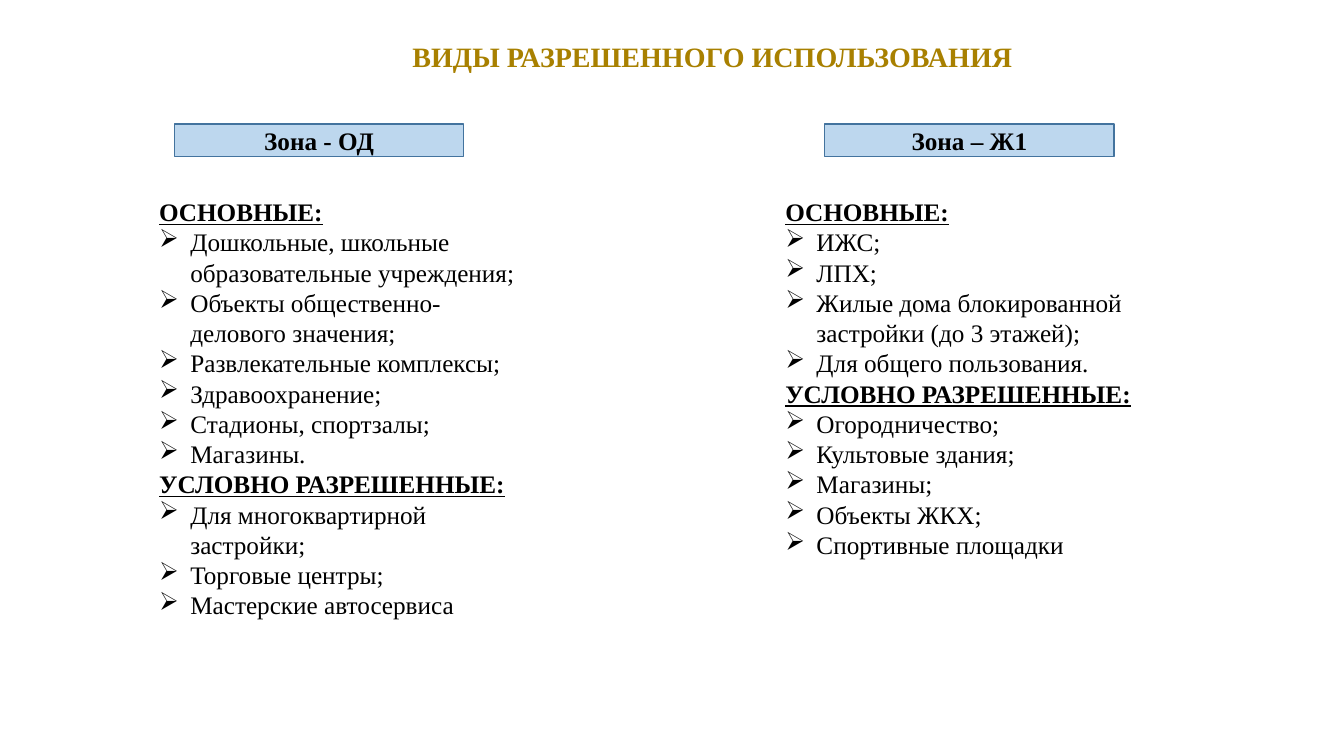
from lxml import etree
from pptx import Presentation
from pptx.dml.color import RGBColor as RGB
from pptx.enum.shapes import MSO_SHAPE as SHAPE
from pptx.enum.text import MSO_ANCHOR as ANCHOR, MSO_AUTO_SIZE as AUTO, PP_ALIGN as ALIGN
from pptx.oxml.ns import qn
from pptx.util import Inches, Pt

INK = {"title": "A88000", "text": "000000", "fill": "BDD7EE", "line": "43739E"}
MAIN = "ОСНОВНЫЕ:"
EXTRA = "УСЛОВНО РАЗРЕШЕННЫЕ:"
ZONES = [
    ("Зона - ОД", 1.73, 1.48, 4.34, [
        (MAIN, ["Дошкольные, школьные образовательные учреждения;",
                "Объекты общественно-делового значения;",
                "Развлекательные комплексы;", "Здравоохранение;",
                "Стадионы, спортзалы;", "Магазины."]),
        (EXTRA, ["Для многоквартирной застройки;", "Торговые центры;",
                 "Мастерские автосервиса"]),
    ]),
    ("Зона – Ж1", 8.18, 7.69, 4.04, [
        (MAIN, ["ИЖС;", "ЛПХ;", "Жилые дома блокированной застройки (до 3 этажей);",
                "Для общего пользования."]),
        (EXTRA, ["Огородничество;", "Культовые здания;", "Магазины;",
                 "Объекты ЖКХ;", "Спортивные площадки"]),
    ]),
]


def style(para, size, ink, bold):
    for run in para.runs:
        font = run.font
        font.name = "Times New Roman"
        font.size = Pt(size)
        font.bold = bold
        font.underline = False
        font.color.rgb = RGB.from_string(INK[ink])


def bullet(para):
    props = para._p.get_or_add_pPr()
    props.set("marL", str(Inches(0.31)))
    props.set("indent", str(-Inches(0.31)))
    etree.SubElement(props, qn("a:buChar")).set("char", "➢")


deck = Presentation()
deck.slide_width = Inches(13.33)
deck.slide_height = Inches(7.5)
slide = deck.slides.add_slide(deck.slide_layouts[5])

title = slide.shapes.title
title.left, title.top = Inches(1.27), Inches(0.34)
title.width, title.height = Inches(11.59), Inches(0.44)
frame = title.text_frame
frame.text = "ВИДЫ РАЗРЕШЕННОГО ИСПОЛЬЗОВАНИЯ"
frame.auto_size = AUTO.NONE
frame.vertical_anchor = ANCHOR.TOP
frame.paragraphs[0].alignment = ALIGN.CENTER
style(frame.paragraphs[0], 20, "title", True)

for name, left, edge, height, groups in ZONES:
    head = slide.shapes.add_shape(
        SHAPE.RECTANGLE, Inches(left), Inches(1.23), Inches(2.87), Inches(0.32))
    head.shadow.inherit = False
    head.fill.solid()
    head.fill.fore_color.rgb = RGB.from_string(INK["fill"])
    head.line.color.rgb = RGB.from_string(INK["line"])
    head.line.width = Pt(1)
    frame = head.text_frame
    frame.text = name
    frame.vertical_anchor = ANCHOR.MIDDLE
    frame.paragraphs[0].alignment = ALIGN.CENTER
    style(frame.paragraphs[0], 18, "text", True)

    box = slide.shapes.add_textbox(
        Inches(edge), Inches(1.9), Inches(3.84), Inches(height))
    frame = box.text_frame
    frame.word_wrap = True
    frame.auto_size = AUTO.SHAPE_TO_FIT_TEXT
    rows = [(text, text == label) for label, items in groups
            for text in [label, *items]]
    frame.text = "\n".join(text for text, _ in rows)
    for para, (_, bold) in zip(frame.paragraphs, rows):
        if not bold:
            bullet(para)
        style(para, 18, "text", bold)
        if bold:
            para.runs[0].font.underline = True

deck.save("out.pptx")
